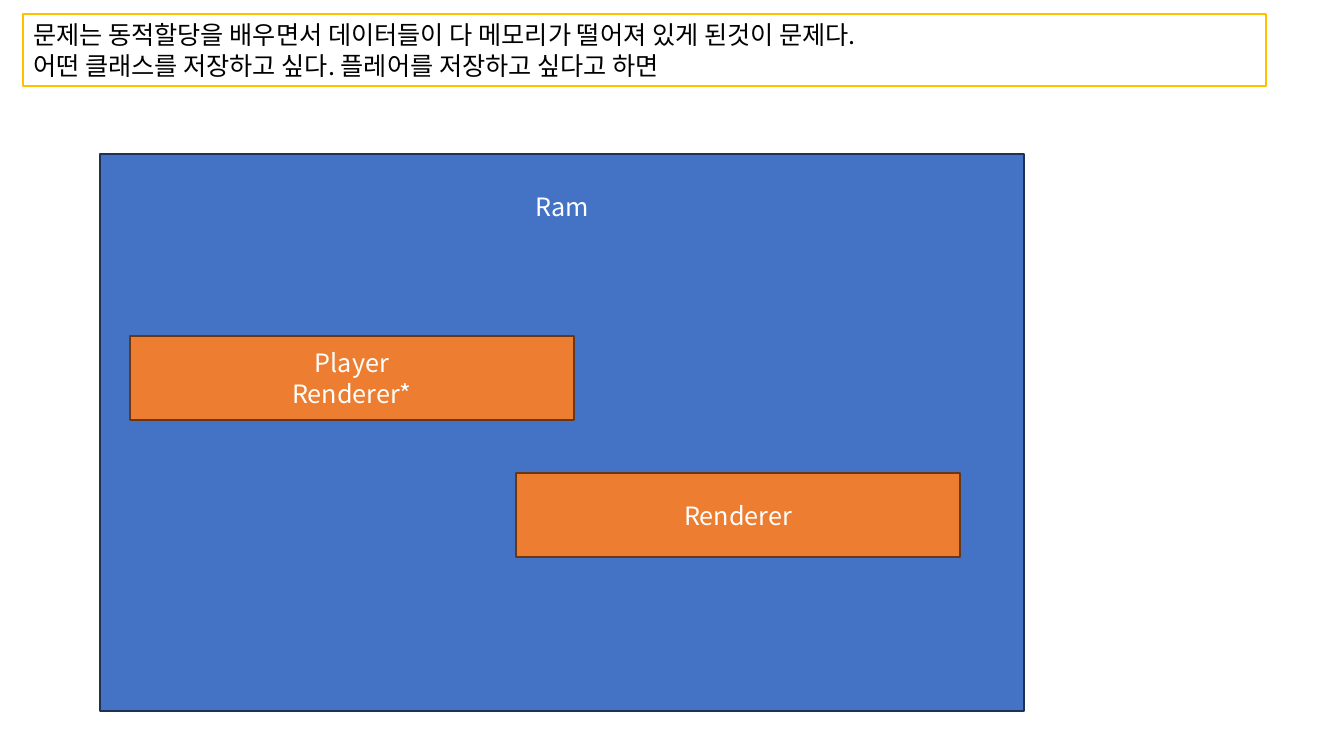
from dataclasses import dataclass

from lxml.etree import SubElement as Sub
from pptx import Presentation
from pptx.dml.color import RGBColor as Rgb
from pptx.enum.shapes import MSO_SHAPE as Kind
from pptx.enum.text import MSO_ANCHOR as Anchor, MSO_AUTO_SIZE as Fit, PP_ALIGN as Align
from pptx.oxml.ns import qn
from pptx.util import Emu, Pt


@dataclass(frozen=True)
class Theme:
    face: str = "Noto Sans CJK KR"
    size: int = 18
    lead: int = 22
    rule: int = 1
    black: str = "000000"
    white: str = "FFFFFF"
    gold: str = "FFC000"
    blue: str = "4472C4"
    navy: str = "1E3256"
    amber: str = "ED7D31"
    brown: str = "683715"


def px(num):
    return Emu(round(num * 914400 / 100.8))


def apply(item, form):
    for key, value in form.items():
        setattr(item, key, value)


class Deck:
    def __init__(self, theme):
        self.theme = theme
        self.show = Presentation()
        apply(self.show, {"slide_width": px(1344), "slide_height": px(756)})
        self.slide = self.show.slides.add_slide(self.show.slide_layouts[5])

    def paint(self, shape, fill, edge):
        shape.fill.solid()
        shape.fill.fore_color.rgb = Rgb.from_string(fill)
        shape.line.color.rgb = Rgb.from_string(edge)
        shape.line.width = Pt(self.theme.rule)

    def label(self, shape, lines, color, align, anchor, top=5):
        frame = shape.text_frame
        apply(frame, {
            "text": "\n".join(lines), "word_wrap": True, "auto_size": Fit.NONE,
            "vertical_anchor": anchor, "margin_top": px(top), "margin_bottom": px(5),
            "margin_left": px(10), "margin_right": px(10),
        })
        for para in frame.paragraphs:
            apply(para, {
                "alignment": align, "line_spacing": Pt(self.theme.lead),
                "space_before": Pt(0), "space_after": Pt(0),
            })
            for run in para.runs:
                apply(run.font, {"name": self.theme.face, "size": Pt(self.theme.size)})
                run.font.color.rgb = Rgb.from_string(color)
                Sub(run._r.get_or_add_rPr(), qn("a:ea"), typeface=self.theme.face)

    def title(self, area, lines):
        head = self.slide.shapes.title
        apply(head, dict(zip(("left", "top", "width", "height"), map(px, area))))
        self.paint(head, self.theme.white, self.theme.gold)
        self.label(head, lines, self.theme.black, Align.LEFT, Anchor.TOP)

    def block(self, area, lines, fill, edge, anchor=Anchor.MIDDLE, top=5):
        shape = self.slide.shapes.add_shape(Kind.RECTANGLE, *map(px, area))
        shape.shadow.inherit = False
        self.paint(shape, fill, edge)
        self.label(shape, lines, self.theme.white, Align.CENTER, anchor, top)

    def save(self):
        self.show.save("out.pptx")


def main():
    theme = Theme()
    deck = Deck(theme)
    deck.title((23, 14, 1243, 72), [
        "문제는 동적할당을 배우면서 데이터들이 다 메모리가 떨어져 있게 된것이 문제다.",
        "어떤 클래스를 저장하고 싶다. 플레어를 저장하고 싶다고 하면",
    ])
    deck.block((100, 154, 924, 557), ["Ram"], theme.blue, theme.navy, Anchor.TOP, 37)
    for left, top, lines in (
        (130, 336, ["Player", "Renderer*"]),
        (516, 473, ["Renderer"]),
    ):
        deck.block((left, top, 444, 84), lines, theme.amber, theme.brown)
    deck.save()


if __name__ == "__main__":
    main()
